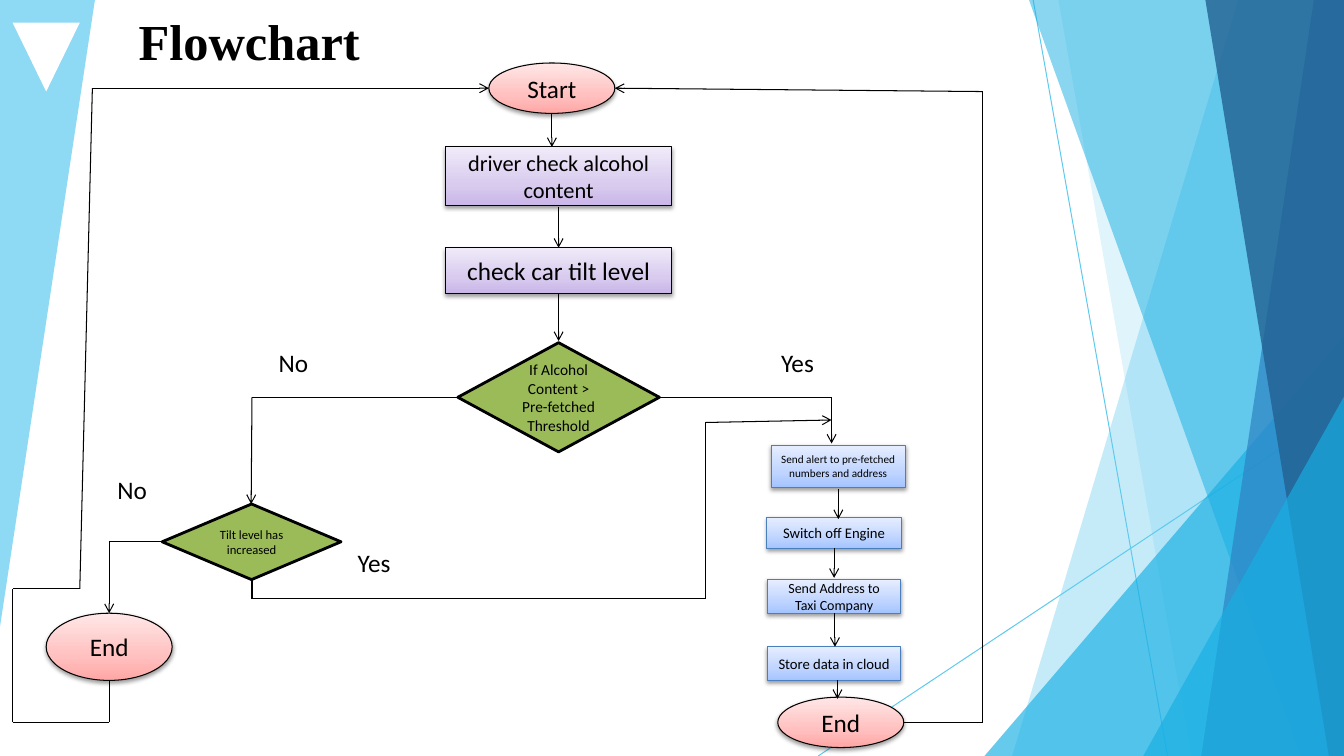
from collections import namedtuple
from copy import deepcopy
from itertools import pairwise

from lxml import etree
from pptx import Presentation
from pptx.dml.color import RGBColor
from pptx.enum.shapes import MSO_CONNECTOR, MSO_SHAPE
from pptx.enum.text import MSO_ANCHOR, MSO_AUTO_SIZE, PP_ALIGN
from pptx.oxml.ns import qn
from pptx.util import Inches, Pt

LINE = MSO_CONNECTOR.STRAIGHT
OVAL, RECT = MSO_SHAPE.OVAL, MSO_SHAPE.RECTANGLE
CHOICE, MARK = MSO_SHAPE.FLOWCHART_DECISION, MSO_SHAPE.FLOWCHART_MERGE
MIDDLE, TOP = MSO_ANCHOR.MIDDLE, MSO_ANCHOR.TOP
LEFT, CENTER = PP_ALIGN.LEFT, PP_ALIGN.CENTER
FIXED = MSO_AUTO_SIZE.NONE

WIDTH, HEIGHT = Inches(13.33), Inches(7.5)
COLS, ROWS = 160, 90
COLORS = {
    "ink": "000000", "white": "FFFFFF", "green": "9BBB59", "edge": "4B7EBC",
    "sky": "5FCAEE", "cyan": "17AFE3", "blue": "2D83C3", "navy": "226192",
}
FADES = {
    "pink": ("FFA6A5", "FFC0BF", "FFE7E7"),
    "lilac": ("C9B5E8", "D8CBEE", "F0EAF9"),
    "azure": ("A4C4FF", "BFD4FF", "E6EEFF"),
}
Box = namedtuple("Box", "left top")
Look = namedtuple("Look", "form fill edge weight")
END = Look(OVAL, "pink", "ink", 0.75)
STEP = Look(RECT, "lilac", "ink", 0.75)
ACT = Look(RECT, "azure", "edge", 0.75)
TEST = Look(CHOICE, "green", "ink", 2)


def tint(name):
    """Return a palette colour."""
    return RGBColor.from_string(COLORS[name])


def spot(box, x, y):
    """Turn grid cells within a box into slide lengths."""
    return int((box.left + x) * WIDTH / COLS), int((box.top + y) * HEIGHT / ROWS)


def frame(box, x, y, cols, rows):
    """Return left, top, width and height of a part of a box."""
    return *spot(box, x, y), *spot(Box(0, 0), cols, rows)


def write(para, text, size, font="Calibri", bold=False):
    """Add one formatted run."""
    run = para.add_run()
    run.text = text
    run.font.size, run.font.name, run.font.bold = Pt(size), font, bold
    run.font.color.rgb = tint("ink")


def fade(shape, name):
    """Fill a shape with a three-stop gradient and add a soft shadow."""
    shape.fill.gradient()
    shape.fill.gradient_angle = 90
    first = shape._element.spPr.find(".//" + qn("a:gs"))
    first.addnext(deepcopy(first))
    for stop, place, color in zip(shape.fill.gradient_stops, (0, 0.35, 1), FADES[name]):
        stop.position = place
        stop.color.rgb = RGBColor.from_string(color)
    effects = shape._element.spPr.find(qn("a:effectLst"))
    shade = etree.SubElement(effects, qn("a:outerShdw"), blurRad=str(Pt(3.1)),
                             dist=str(Pt(1.6)), dir="5400000", rotWithShape="0")
    color = etree.SubElement(shade, qn("a:srgbClr"), val=COLORS["ink"])
    etree.SubElement(color, qn("a:alpha"), val="38000")


def node(slide, box, look, cells, text, size):
    """Draw one flowchart node with its text."""
    shape = slide.shapes.add_shape(look.form, *frame(box, *cells))
    shape.shadow.inherit = False
    shape.line.color.rgb, shape.line.width = tint(look.edge), Pt(look.weight)
    if look.fill in FADES:
        fade(shape, look.fill)
    else:
        shape.fill.solid()
        shape.fill.fore_color.rgb = tint(look.fill)
    body = shape.text_frame
    body.word_wrap, body.vertical_anchor = True, MIDDLE
    body.paragraphs[0].alignment = CENTER
    write(body.paragraphs[0], text, size)


def label(slide, box, x, y, text):
    """Write the answer beside a branch."""
    body = slide.shapes.add_textbox(*frame(box, x, y, 8, 4.8)).text_frame
    body.word_wrap = True
    body.paragraphs[0].alignment = LEFT
    write(body.paragraphs[0], text, 18)


def route(slide, box, *points, color="ink", weight=0.75, arrow=True):
    """Join points by lines, with an arrowhead at the last."""
    for start, stop in pairwise(points):
        link = slide.shapes.add_connector(LINE, *spot(box, *start), *spot(box, *stop))
        link.line.color.rgb, link.line.width = tint(color), Pt(weight)
        if arrow and stop == points[-1]:
            etree.SubElement(link.line._get_or_add_ln(), qn("a:tailEnd"), type="arrow")
        etree.SubElement(link._element.spPr, qn("a:effectLst"))


def pane(slide, box, color, alpha, *points):
    """Draw one translucent pane."""
    first, *rest = [spot(box, *point) for point in points]
    pen = slide.shapes.build_freeform(*first, scale=1.0)
    pen.add_line_segments(rest, close=True)
    shape = pen.convert_to_shape()
    shape.shadow.inherit = False
    shape.line.fill.background()
    shape.fill.solid()
    shape.fill.fore_color.rgb = tint(color)
    fill = shape._element.spPr.find(".//" + qn("a:srgbClr"))
    etree.SubElement(fill, qn("a:alpha"), val=str(alpha * 1000))


def left_trim(slide, box):
    """Draw the left pane and its plain mark."""
    pane(slide, box, "sky", 70, (0, 0), (11.3, 0), (0, 74.6))
    mark = slide.shapes.add_shape(MARK, *frame(box, 1.5, 2.7, 8, 8.2))
    mark.shadow.inherit = False
    mark.fill.solid()
    mark.fill.fore_color.rgb = tint("white")
    mark.line.fill.background()


def right_trim(slide, box):
    """Draw the fan of panes on the right."""
    edge = COLS - box.left
    for start, stop in (((26, 0), (42, ROWS)), ((edge, 48.4), (0.4, ROWS))):
        route(slide, box, start, stop, color="sky", weight=0.72, arrow=False)
    for color, alpha, head, low, foot in (
        ("sky", 36, 50.4, 0, 23.5), ("sky", 20, 29, 0, 44.8),
        ("cyan", 66, edge, 40, 20.2), ("cyan", 50, 25.5, 0, 57.9),
        ("blue", 70, 59.4, 0, 46), ("navy", 80, 46.5, 0, 61.2),
        ("cyan", 66, edge, 47.2, 39.1),
    ):
        pane(slide, box, color, alpha, (edge, low), (head, low), (foot, ROWS), (edge, ROWS))


def heading(slide, box):
    """Set the title."""
    title = slide.shapes.title
    title.left, title.top, title.width, title.height = frame(box, 0, 0, 34.7, 7.4)
    body = title.text_frame
    body.auto_size, body.vertical_anchor = FIXED, TOP
    body.margin_left = body.margin_right = body.margin_top = body.margin_bottom = 0
    body.paragraphs[0].alignment = LEFT
    write(body.paragraphs[0], "Flowchart", 36, "Times New Roman", True)


def trunk(slide, box):
    """Draw the steps from start to the first test."""
    node(slide, box, END, (5.2, 0.5, 15, 6), "Start", 18)
    node(slide, box, STEP, (0, 10.5, 27, 7), "driver check alcohol content", 16)
    node(slide, box, STEP, (0, 22.5, 27, 5.4), "check car tilt level", 18)
    node(slide, box, TEST, (1.5, 33.8, 24, 13),
         "If Alcohol Content > Pre-fetched Threshold", 11)
    for x, top, low in ((12.7, 6.5, 10.5), (13.5, 17.6, 22.5), (13.5, 28, 33.6)):
        route(slide, box, (x, top), (x, low))


def no_branch(slide, box):
    """Draw the tilt test and its end."""
    node(slide, box, TEST, (14.3, 20, 21.3, 9), "Tilt level has increased", 9)
    node(slide, box, END, (0.5, 33, 15, 8), "End", 18)
    route(slide, box, (49.5, 7.3), (25, 7.3), (24.9, 20))
    route(slide, box, (14.3, 24.5), (8, 24.5), (8, 33))
    for x, y, text in ((27, 0.8, "No"), (7.8, 15.9, "No"), (36.4, 24.6, "Yes")):
        label(slide, box, x, y, text)


def yes_branch(slide, box):
    """Draw the alert steps and their end."""
    for x, y, cols, rows, text, size in (
        (13.8, 13, 16, 5, "Send alert to pre-fetched numbers and address", 8),
        (13.3, 21.6, 16, 3.7, "Switch off Engine", 10.5),
        (13.4, 29, 15.8, 4, "Send Address to Taxi Company", 10),
        (13.4, 37, 15.8, 4, "Store data in cloud", 10.5),
    ):
        node(slide, box, ACT, (x, y, cols, rows), text, size)
    node(slide, box, END, (14.6, 43, 15, 6), "End", 18)
    route(slide, box, (0.5, 7.3), (21, 7.3), (21, 12.8))
    for x, top, low in ((21.8, 18.2, 21.8), (21.3, 25.3, 28.8),
                        (21.4, 33, 37), (21.7, 41, 43.2)):
        route(slide, box, (x, top), (x, low))
    label(slide, box, 13.8, 0.8, "Yes")


def loops(slide, box):
    """Draw the long routes between branches and back to start."""
    route(slide, box, (30, 69), (30, 71.3), (84, 71.3), (84, 50.3), (99, 50))
    route(slide, box, (13, 81), (13, 86), (1.5, 86), (1.5, 70.1),
          (9.5, 70.1), (11, 10.5), (58.2, 10.5))
    route(slide, box, (107.6, 86), (117, 86), (117, 10.9), (73.2, 10.5))


def main():
    """Build and save the slide."""
    deck = Presentation()
    deck.slide_width, deck.slide_height = WIDTH, HEIGHT
    slide = deck.slides.add_slide(deck.slide_layouts[5])
    for part, left, top in (
        (left_trim, 0, 0), (right_trim, 97, 0), (heading, 16.5, 1.2), (trunk, 53, 7),
        (no_branch, 5, 40), (yes_branch, 78, 40), (loops, 0, 0),
    ):
        part(slide, Box(left, top))
    deck.save("out.pptx")


main()
